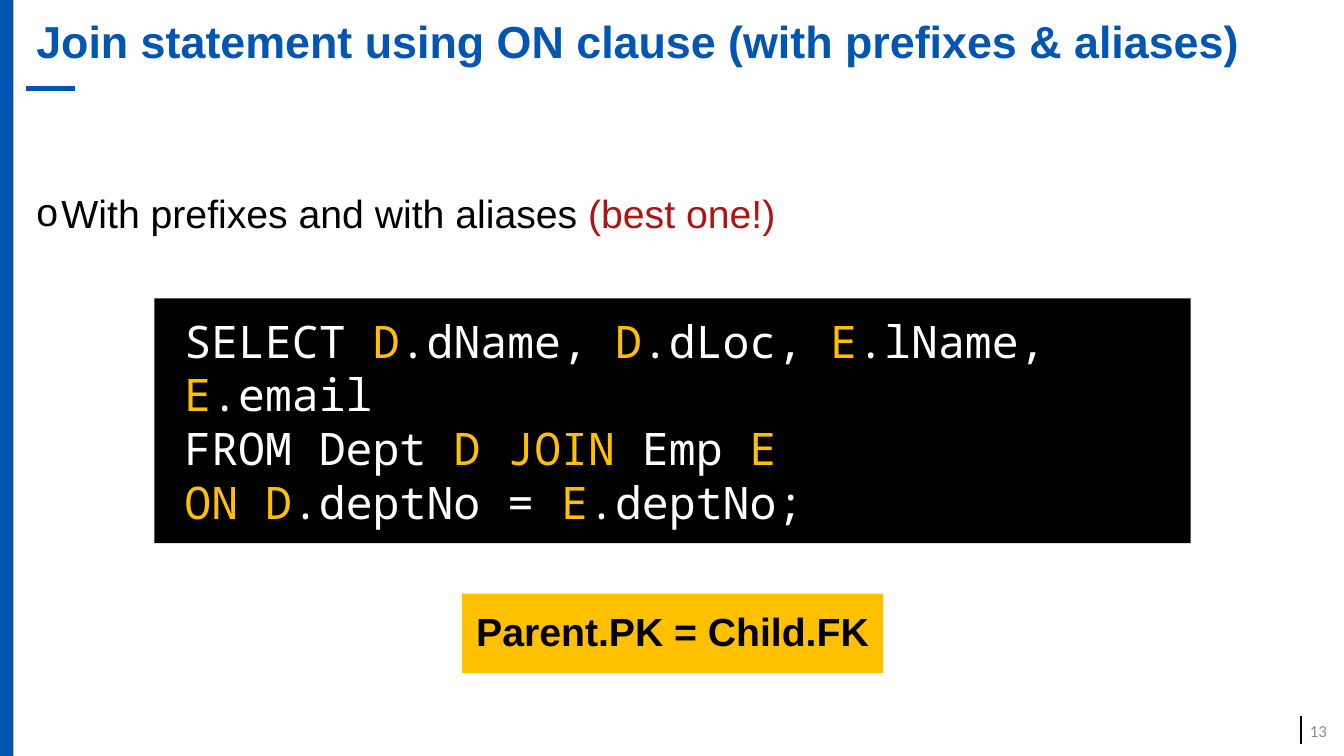
from dataclasses import dataclass
from typing import Optional

import pptx
import pptx.dml.color
import pptx.enum.shapes
import pptx.enum.text
import pptx.oxml
import pptx.oxml.ns
import pptx.util

ALIGN = pptx.enum.text.PP_ALIGN
ANCHOR = pptx.enum.text.MSO_ANCHOR


@dataclass(frozen=True)
class Theme:
    blue: str = "0056B2"
    black: str = "000000"
    white: str = "FFFFFF"
    amber: str = "FFC000"
    red: str = "B01313"
    grey: str = "8C8C8C"
    sans: str = "Arial"
    mono: str = "Noto Sans Mono"
    footer: str = "Calibri"
    large: int = 32
    medium: int = 28
    small: int = 12


@dataclass(frozen=True)
class Box:
    x: float
    y: float
    w: float
    h: float


@dataclass(frozen=True)
class Rule:
    x1: float
    y1: float
    x2: float
    y2: float
    color: str
    width: float


@dataclass(frozen=True)
class Panel:
    box: Box
    fill: str


T = Theme()
WIDTH, HEIGHT = pptx.util.Inches(13.33), pptx.util.Inches(7.5)

SIDEBAR = Panel(Box(0, 0, 1, 100), T.blue)
CODE = Panel(Box(11.48, 39.47, 77.12, 32.4), T.black)
KEY_RULE = Panel(Box(34.36, 78.53, 31.36, 10.53), T.amber)
TITLE = Box(1.95, 0, 97.07, 11.73)
BODY = Box(1.95, 25.07, 97.07, 7.6)
NUMBER = Box(96.32, 94, 3.15, 5.33)
RULES = [
    Rule(96.77, 94.67, 96.77, 98.4, T.black, 1.5),
    Rule(5.55, 11.73, 1.95, 11.73, T.blue, 4),
]
SQL = [
    [("SELECT ", T.white), ("D", T.amber), (".dName, ", T.white),
     ("D", T.amber), (".dLoc, ", T.white), ("E", T.amber),
     (".lName, ", T.white), ("E", T.amber), (".email", T.white)],
    [("FROM Dept ", T.white), ("D JOIN", T.amber), (" Emp ", T.white), ("E", T.amber)],
    [("ON D", T.amber), (".deptNo = ", T.white), ("E", T.amber), (".deptNo;", T.white)],
]


def col(share: float) -> int:
    return round(WIDTH * share / 100)


def row(share: float) -> int:
    return round(HEIGHT * share / 100)


def rgb(color: str) -> pptx.dml.color.RGBColor:
    return pptx.dml.color.RGBColor.from_string(color)


def place(sp, box: Box) -> None:
    sp.left, sp.top, sp.width, sp.height = col(box.x), row(box.y), col(box.w), row(box.h)


def write(sp, lines: list, *, size: int, font: str = T.sans, bold: bool = False,
          align=ALIGN.LEFT, anchor=ANCHOR.MIDDLE, spacing: float = 1,
          before: float = 0, margin: float = 0, indent: float = 0,
          bullet: Optional[str] = None) -> None:
    tf = sp.text_frame
    tf.word_wrap = True
    tf.auto_size = pptx.enum.text.MSO_AUTO_SIZE.NONE
    tf.vertical_anchor = anchor
    for i, line in enumerate(lines):
        p = tf.add_paragraph() if i else tf.paragraphs[0]
        p.alignment, p.line_spacing = align, spacing
        p.space_before = pptx.util.Pt(before)
        pPr = p._p.get_or_add_pPr()
        pPr.set("marL", str(pptx.util.Inches(margin)))
        pPr.set("indent", str(pptx.util.Inches(indent)))
        if bullet:
            mark = pptx.oxml.parse_xml(f'<a:buChar {pptx.oxml.ns.nsdecls("a")} char="{bullet}"/>')
            pPr.append(mark)
        for text, color in line:
            r = p.add_run()
            r.text = text
            r.font.size, r.font.name, r.font.bold = pptx.util.Pt(size), font, bold
            r.font.color.rgb = rgb(color)


def add_panel(s, panel: Panel):
    sp = s.shapes.add_shape(pptx.enum.shapes.MSO_SHAPE.RECTANGLE, 0, 0, 0, 0)
    place(sp, panel.box)
    sp.shadow.inherit = False
    sp.fill.solid()
    sp.fill.fore_color.rgb = rgb(panel.fill)
    sp.line.fill.background()
    return sp


def add_rule(s, rule: Rule) -> None:
    line = s.shapes.add_connector(pptx.enum.shapes.MSO_CONNECTOR.STRAIGHT,
                                  col(rule.x1), row(rule.y1), col(rule.x2), row(rule.y2))
    line.line.color.rgb = rgb(rule.color)
    line.line.width = pptx.util.Pt(rule.width)
    effects = pptx.oxml.parse_xml(f'<a:effectLst {pptx.oxml.ns.nsdecls("a")}/>')
    line._element.spPr.append(effects)


def main() -> None:
    prs = pptx.Presentation()
    prs.slide_width, prs.slide_height = WIDTH, HEIGHT
    s = prs.slides.add_slide(prs.slide_layouts[1])
    title, body = s.shapes.title, s.placeholders[1]

    add_panel(s, SIDEBAR)
    for rule in RULES:
        add_rule(s, rule)

    place(title, TITLE)
    write(title, [[("Join statement using ON clause (with prefixes & aliases)", T.blue)]],
          size=T.large, bold=True, spacing=0.9)
    place(body, BODY)
    write(body, [[("With prefixes and with aliases ", T.black), ("(best one!)", T.red)]],
          size=T.medium, anchor=ANCHOR.TOP, spacing=0.9, before=10,
          margin=0.25, indent=-0.25, bullet="o")

    write(add_panel(s, CODE), SQL, size=T.large, font=T.mono, margin=0.2)
    write(add_panel(s, KEY_RULE), [[("Parent.PK = Child.FK", T.black)]],
          size=T.medium, bold=True, align=ALIGN.CENTER, spacing=0.9, before=10)

    number = s.shapes.add_textbox(0, 0, 0, 0)
    place(number, NUMBER)
    write(number, [[("13", T.grey)]], size=T.small, font=T.footer, align=ALIGN.RIGHT)
    prs.save("out.pptx")


if __name__ == "__main__":
    main()
